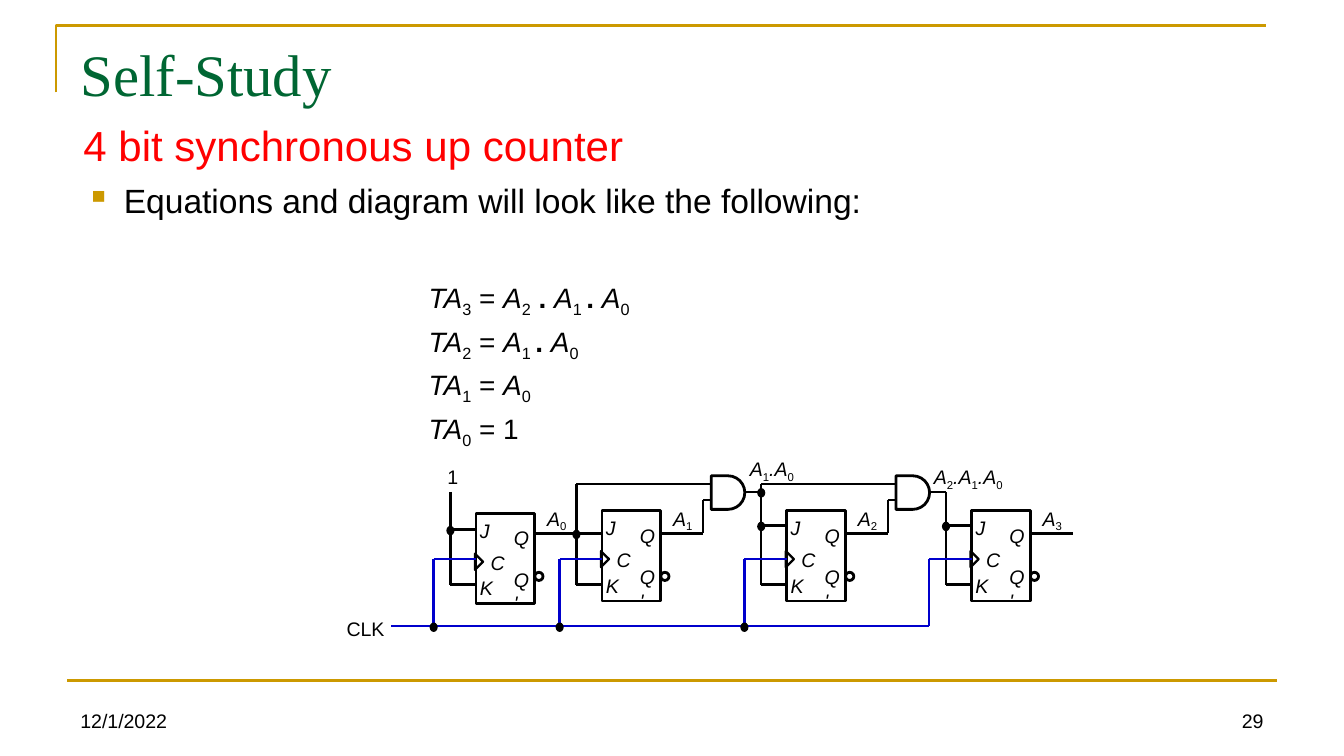
from itertools import groupby
from pptx import Presentation
from pptx.dml.color import RGBColor as RGB
from pptx.enum.shapes import MSO_CONNECTOR as CONN, MSO_SHAPE as KIND
from pptx.enum.text import MSO_ANCHOR as ANCHOR, MSO_AUTO_SIZE as FIT, PP_ALIGN as ALIGN
from pptx.oxml.ns import qn
from pptx.util import Pt
from lxml.etree import SubElement as Sub

HUE = {"gold": "CC9900", "green": "006633", "red": "FF0000",
       "black": "000000", "blue": "0000CC"}

# Content: "_" lowers the next character
TITLE = "Self-Study"
HEAD = "4 bit synchronous up counter"
LEAD = "Equations and diagram will look like the following:"
SUMS = ["TA_3 = A_2 . A_1_ . A_0", "TA_2 = A_1_ . A_0", "TA_1 = A_0", "TA_0 = 1"]
DATE, PAGE = "12/1/2022", "29"

# Flip-flops: left, top, top of input wire, height of J wire, output name
FLOPS = [(255, 275, 263.5, 283.7, "A_0"),
         (322.5, 273.6, 259.2, 285.8, "A_1"),
         (421.5, 273.6, 259.2, 281.5, "A_2"),
         (520.5, 273.6, 263.5, 281.5, "A_3")]
WIDE, HIGH = 31.5, 48.4
# Pin labels: text, offset from left and top, size
PINS = [("J", -5, -0.6, 20.2, 20.2), ("K", -5, 30.2, 21.6, 20.2),
        ("C", 0.7, 16.6, 22.3, 20.2), ("Q", 13.2, 3.4, 23, 20.2),
        ("Q'", 13.2, 25.7, 22.3, 32.4)]
# Wire heights
HI, OUT, LOW, Q, CLK, NOT, K, BUS = 259.2, 263.5, 267.8, 285.8, 299.5, 308.8, 313.2, 335.5
NODE, DROP, STUB, GATE = 13.7, 22.7, 22.7, 18

# Free labels: text, left, top, width
TAGS = [("1", 232.6, 245.5, 20.2), ("CLK", 178.6, 326.9, 37),
        ("A_1.A_0", 394.6, 241.2, 41.6), ("A_2.A_1.A_0", 493.2, 245.5, 55.3)]

deck = Presentation()
deck.slide_width, deck.slide_height = Pt(720), Pt(405)
slide = deck.slides.add_slide(deck.slide_layouts[1])
shapes = slide.shapes


def tint(name):
    return RGB.from_string(HUE[name])


def font(para, size, hue="black", face="Arial"):
    para.font.size, para.font.name = Pt(size), face
    para.font.color.rgb = tint(hue)


def place(shape, x, y, w, h):
    shape.left, shape.top, shape.width, shape.height = map(Pt, (x, y, w, h))


def box(x, y, w, h):
    frame = shapes.add_textbox(Pt(x), Pt(y), Pt(w), Pt(h)).text_frame
    frame.word_wrap = True
    return frame


def write(para, text, dot):
    """Letters slant, marked characters sink, full stops take the dot style."""
    marks, low = [], False
    for c in text:
        if c == "_":
            low = True
            continue
        style = "low" if low else "slant" if c.isalpha() or c == "'" else dot if c == "." else ""
        marks.append((style, c))
        low = False
    for style, part in groupby(marks, lambda m: m[0]):
        run = para.add_run()
        run.text = "".join(c for _, c in part)
        if style == "slant":
            run.font.italic = True
        elif style == "bold":
            run.font.bold = True
        elif style == "low":
            run._r.get_or_add_rPr().set("baseline", "-25000")


def label(text, x, y, w, h=20.2):
    para = box(x, y, w, h).paragraphs[0]
    if text == "CLK":
        para.text = text
    else:
        write(para, text, "slant")
    font(para, 10.5)


def wire(x1, y1, x2, y2, hue="black", size=1.25):
    line = shapes.add_connector(CONN.STRAIGHT, Pt(x1), Pt(y1), Pt(x2), Pt(y2))
    line.line.color.rgb, line.line.width = tint(hue), Pt(size)
    Sub(line._element.spPr, qn("a:effectLst"))


def part(kind, x, y, w, h, size=1.5, fill=False):
    shape = shapes.add_shape(kind, Pt(x), Pt(y), Pt(w), Pt(h))
    shape.shadow.inherit = False
    if fill:
        shape.fill.solid()
        shape.fill.fore_color.rgb = tint("black")
    else:
        shape.fill.background()
    shape.line.color.rgb, shape.line.width = tint("black"), Pt(size)
    return shape


def dot(x, y):
    part(KIND.OVAL, x - 1.8, y - 1.6, 3.6, 4.3, 0.75, True)


# Frame lines
pen = shapes.build_freeform(Pt(30), Pt(49.5), scale=1.0)
pen.add_line_segments([(Pt(30), Pt(13.5)), (Pt(678), Pt(13.5))], close=False)
edge = pen.convert_to_shape()
edge.shadow.inherit = False
edge.fill.background()
edge.line.color.rgb, edge.line.width = tint("gold"), Pt(1.5)
wire(36, 364.5, 684, 364.5, "gold", 1.5)

# Title and heading
head, body = shapes.title, slide.placeholders[1]
for shape, spot, text, look in [
        (head, (36, 16.5, 648, 67), TITLE, (31.5, "green", "Times New Roman")),
        (body, (37.5, 60.5, 450, 216), HEAD, (22.5, "red"))]:
    place(shape, *spot)
    frame = shape.text_frame
    frame.text, frame.auto_size, frame.vertical_anchor = text, FIT.NONE, ANCHOR.TOP
    para = frame.paragraphs[0]
    props = para._p.get_or_add_pPr()
    props.set("marL", "0")
    props.set("indent", "0")
    Sub(props, qn("a:buNone"))
    para.alignment, para.space_before = ALIGN.LEFT, Pt(0)
    font(para, *look)

# Lead line and equations
frame = box(39, 93, 450, 116.5)
para = frame.paragraphs[0]
para.text = LEAD
props = para._p.get_or_add_pPr()
props.set("marL", str(Pt(20.2)))
props.set("indent", str(Pt(-20.2)))
Sub(Sub(props, qn("a:buClr")), qn("a:srgbClr"), val=HUE["gold"])
Sub(props, qn("a:buChar"), char="▪")
font(para, 18)
for i, text in enumerate(SUMS):
    para = frame.add_paragraph()
    para._p.get_or_add_pPr().set("marL", str(Pt(183.5)))
    para.space_before = Pt(3 if i else 32)
    write(para, text, "bold")
    font(para, 15)

# Date and page number
for text, x, side in [(DATE, 36, ALIGN.LEFT), (PAGE, 516, ALIGN.RIGHT)]:
    frame = box(x, 369, 168, 27)
    frame.vertical_anchor = ANCHOR.BOTTOM
    para = frame.paragraphs[0]
    para.text, para.alignment = text, side
    font(para, 10.5)

# Clock bus
wire(209.5, BUS, FLOPS[-1][0] - DROP, BUS, "blue")

# Flip-flops with their wires
for i, (x, y, top, j, name) in enumerate(FLOPS):
    node, drop, end = x - NODE, x - DROP, x + WIDE
    part(KIND.RECTANGLE, x, y, WIDE, HIGH)
    part(KIND.ISOSCELES_TRIANGLE, x - 2.7, y + 23.8, 8.6, 4.3, 1.25).rotation = 90
    part(KIND.OVAL, end, NOT - 2.2, 4.4, 4.4)
    for text, dx, dy, w, h in PINS:
        label(text, x + dx, y + dy, w, h)
    label(name, end - 0.5, 267.8, 27)
    wire(node, top, node, K)
    wire(node, j, x, j)
    wire(node, K, x, K)
    wire(drop, CLK, drop, BUS, "blue")
    wire(drop, CLK, x, CLK, "blue")
    wire(end, Q, FLOPS[1][0] if i == 0 else end + STUB, Q)
    dot(node, j)
    if i < 3:
        dot(drop, BUS)

# AND gates between the later flip-flops
for x, nxt in [(FLOPS[1][0], FLOPS[2][0]), (FLOPS[2][0], FLOPS[3][0])]:
    turn, gate = x + WIDE + STUB, x + WIDE + 27
    part(KIND.FLOWCHART_DELAY, gate, 254.9, GATE, GATE)
    wire(x - NODE, HI, gate, HI)
    wire(turn, LOW, turn, Q)
    wire(turn, LOW, gate, LOW)
    wire(gate + GATE, OUT, nxt - NODE, OUT)
dot(FLOPS[2][0] - NODE, OUT)

for tag in TAGS:
    label(*tag)

deck.save("out.pptx")
